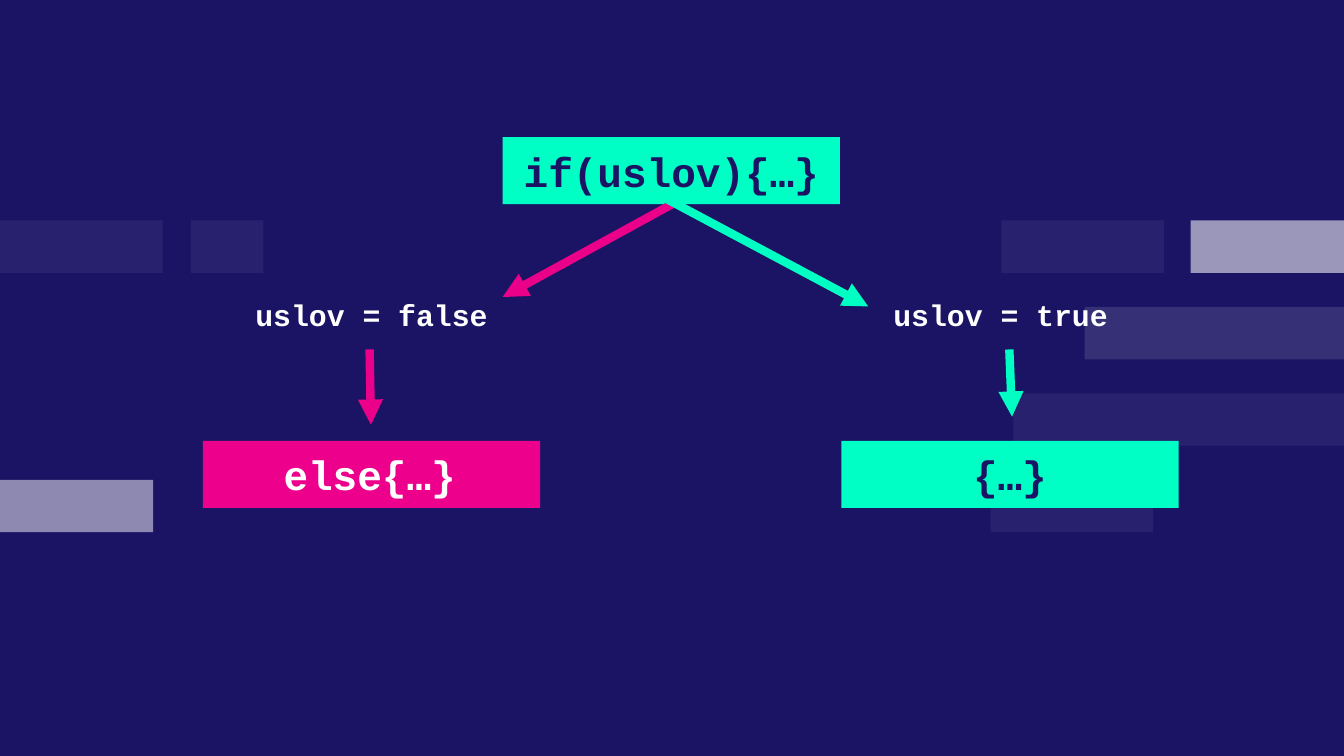
"""Build a slide that shows how an if/else statement branches."""
from pptx import Presentation
from pptx.dml.color import RGBColor
from pptx.enum import shapes, text
from pptx.oxml.ns import qn
from pptx.util import Inches, Pt
from lxml import etree

NAVY = RGBColor(0x1B, 0x14, 0x64)
MINT = RGBColor(0x00, 0xFF, 0xC5)
PINK = RGBColor(0xEC, 0x00, 0x8C)
MINT_LINE = RGBColor(0x00, 0xFF, 0xC3)
PINK_LINE = RGBColor(0xEB, 0x00, 0x89)
WHITE = RGBColor(0xFF, 0xFF, 0xFF)

WIDE = 10
HIGH = WIDE * 9 / 16
BOX_W, BOX_H = 2.51, 0.5
LEFT, MID, RIGHT = 1.51, 3.74, 6.26
TOP, TEST, END = 1.02, 2.21, 3.28
BAND_TOP, BAND_END, BAND_H = 1.64, 3.57, 0.39
PITCH = (BAND_END - BAND_TOP) / 3

# left, right, row, opacity in percent
BANDS = [
    (8.07, WIDE, 1, 12), (7.45, 8.66, 0, 6), (7.54, WIDE, 2, 6),
    (8.86, WIDE, 0, 56), (7.37, 8.58, 3, 6), (0, 1.14, 3, 50),
    (0, 1.21, 0, 6), (1.42, 1.96, 0, 6),
]
# placeholder index, text, left, top, format
NODES = [
    (0, "if(uslov){…}", MID, TOP, dict(fill=MINT, color=NAVY)),
    (3, "uslov = true", 6.19, TEST, dict(size=16)),
    (2, "else{…}", LEFT, END, dict(fill=PINK, indent=0.5)),
    (4, "{…}", RIGHT, END, dict(fill=MINT, color=NAVY)),
    (1, "uslov = false", LEFT, TEST, dict(size=16)),
]
ARROWS = [
    (5, 1.52, 3.74, 2.21, PINK_LINE),
    (4.81, 1.4, 6.46, 2.28, MINT_LINE),
    (7.51, 2.6, 7.53, 3.1, MINT_LINE),
    (2.75, 2.6, 2.76, 3.16, PINK_LINE),
]


def paint(shape, color):
    shape.fill.solid()
    shape.fill.fore_color.rgb = color


def write(shape, words, size=22, color=WHITE, fill=None, indent=0):
    frame = shape.text_frame
    frame.text = words
    frame.word_wrap = True
    frame.auto_size = text.MSO_AUTO_SIZE.NONE
    frame.margin_left = frame.margin_right = frame.margin_bottom = Inches(0.1)
    frame.margin_top = Inches(0.1 if fill else 0)
    frame.vertical_anchor = text.MSO_ANCHOR.MIDDLE if fill else text.MSO_ANCHOR.TOP
    if fill:
        paint(shape, fill)
    para = frame.paragraphs[0]
    para.alignment = text.PP_ALIGN.LEFT if indent else text.PP_ALIGN.CENTER
    para.space_before = Pt(0)
    props = para._p.get_or_add_pPr()
    props.set("marL", str(Inches(indent)))
    props.set("indent", "0")
    etree.SubElement(props, qn("a:buNone"))
    font = para.runs[0].font
    font.name, font.size, font.bold = "Courier New", Pt(size), True
    font.color.rgb = color


def band(slide, left, right, row, alpha):
    spot = (left, BAND_TOP + row * PITCH, right - left, BAND_H)
    shape = slide.shapes.add_shape(shapes.MSO_SHAPE.RECTANGLE, *map(Inches, spot))
    shape.shadow.inherit = False
    shape.line.fill.background()
    paint(shape, WHITE)
    tint = next(shape._element.spPr.iter(qn("a:srgbClr")))
    etree.SubElement(tint, qn("a:alpha"), val=str(alpha * 1000))


def arrow(slide, *ends, color):
    link = slide.shapes.add_connector(shapes.MSO_CONNECTOR.STRAIGHT, *map(Inches, ends))
    link.line.width = Pt(4.5)
    link.line.color.rgb = color
    etree.SubElement(link.line._get_or_add_ln(), qn("a:tailEnd"), type="triangle")
    etree.SubElement(link._element.spPr, qn("a:effectLst"))


def main():
    deck = Presentation()
    deck.slide_width, deck.slide_height = Inches(WIDE), Inches(HIGH)
    slide = deck.slides.add_slide(deck.slide_layouts.get_by_name("Comparison"))
    paint(slide.background, NAVY)
    for item in BANDS:
        band(slide, *item)
    holders = {h.placeholder_format.idx: h for h in slide.placeholders}
    for idx, words, left, top, style in NODES:
        node = holders[idx]
        slide.shapes._spTree.append(node._element)
        node.left, node.top = Inches(left), Inches(top)
        node.width, node.height = Inches(BOX_W), Inches(BOX_H)
        write(node, words, **style)
    for *ends, color in ARROWS:
        arrow(slide, *ends, color=color)
    deck.save("out.pptx")


if __name__ == "__main__":
    main()
